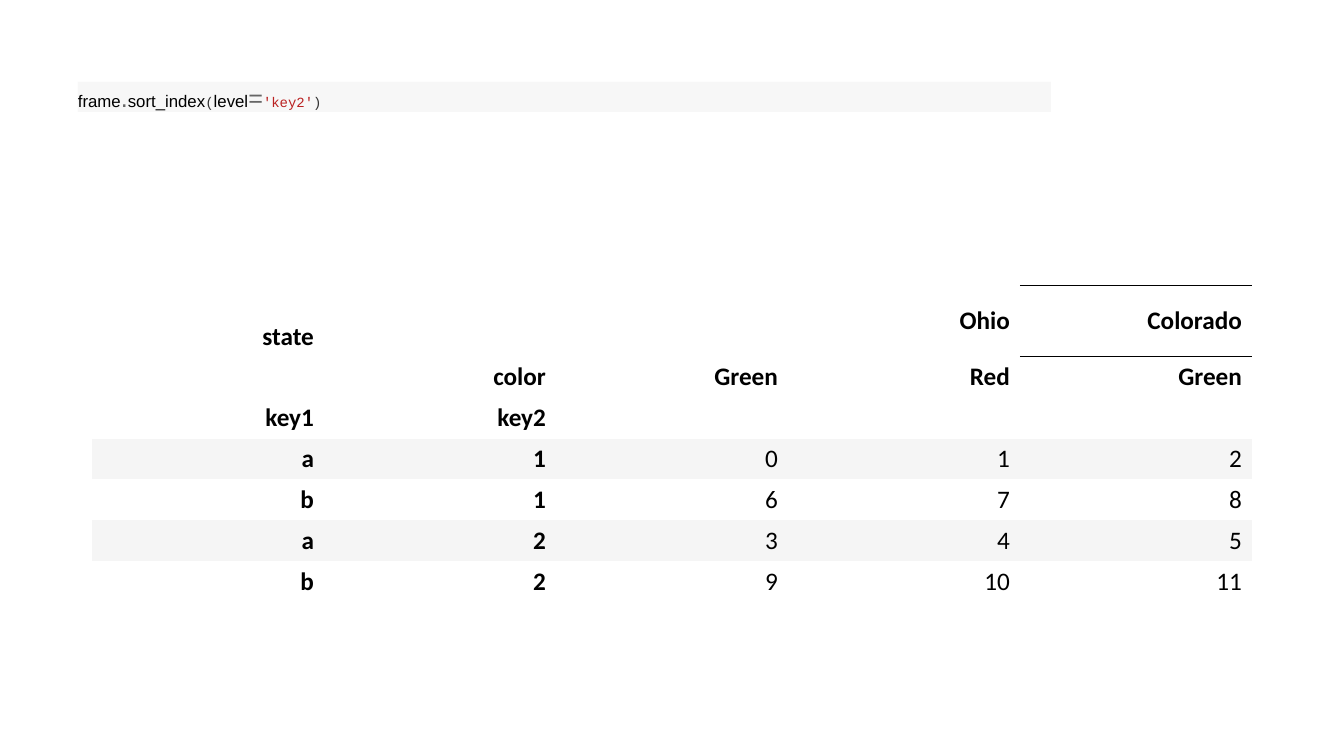
from lxml.etree import SubElement
from pptx import Presentation
from pptx.dml.color import RGBColor
from pptx.enum.shapes import MSO_SHAPE
from pptx.enum.text import MSO_ANCHOR, PP_ALIGN
from pptx.oxml.ns import qn
from pptx.util import Pt

PX = 914400 / 100.8
COLORS = {
    "black": "000000", "code_back": "F7F7F7", "operator": "666666",
    "bracket": "333333", "string": "BA2121", "stripe": "F5F5F5",
}
NO_STYLE = "{2D5ABB26-0587-4C30-8999-92F81FD0307C}"

# Token kinds: font, size, colour
TOKENS = {
    "name": ("Arial", 12, "black"),
    "operator": ("Arial", 18, "operator"),
    "bracket": ("Courier New", 10, "bracket"),
    "string": ("Courier New", 10, "string"),
}
CODE = [
    ("frame", "name"), (".", "operator"), ("sort_index", "name"),
    ("(", "bracket"), ("level", "name"), ("=", "operator"),
    ("'key2'", "string"), (")", "bracket"),
]
ROWS = [
    ["state", "", "", "Ohio", "Colorado"],
    ["", "color", "Green", "Red", "Green"],
    ["key1", "key2", "", "", ""],
    ["a", "1", "0", "1", "2"],
    ["b", "1", "6", "7", "8"],
    ["a", "2", "3", "4", "5"],
    ["b", "2", "9", "10", "11"],
]
HEADER_ROWS, KEY_COLUMNS = 3, 2
FIRST_ROW, ROW, LINE = 71, 40, 31


def px(length):
    return round(length * PX)


def color(name):
    return RGBColor.from_string(COLORS[name])


def add_span(para, text, font, size, shade, bold=False):
    span = para.add_run()
    span.text = text
    span.font.name, span.font.size, span.font.bold = font, Pt(size), bold
    span.font.color.rgb = color(shade)


def add_code(page, left, top, width, height):
    box = page.shapes.add_shape(MSO_SHAPE.RECTANGLE, *map(px, (left, top, width, height)))
    box.shadow.inherit = False
    box.fill.solid()
    box.fill.fore_color.rgb = color("code_back")
    box.line.fill.background()
    frame = box.text_frame
    frame.word_wrap = True
    frame.vertical_anchor = MSO_ANCHOR.MIDDLE
    frame.margin_left = frame.margin_right = frame.margin_top = frame.margin_bottom = 0
    para = frame.paragraphs[0]
    para.alignment = PP_ALIGN.LEFT
    for text, kind in CODE:
        add_span(para, text, *TOKENS[kind])


def add_rules(cell):
    """Draw a line above and below the cell."""
    props = cell._tc.get_or_add_tcPr()
    for place, side in enumerate(("a:lnT", "a:lnB")):
        line = SubElement(props, qn(side), w=str(Pt(0.75)))
        fill = SubElement(line, qn("a:solidFill"))
        SubElement(fill, qn("a:srgbClr"), val=COLORS["black"])
        props.insert(place, line)


def add_frame_table(page, left, top, width):
    height = FIRST_ROW + ROW * (len(ROWS) - 1)
    holder = page.shapes.add_table(len(ROWS), len(ROWS[0]), *map(px, (left, top, width, height)))
    table = holder.table
    table.first_row = table.horz_banding = False
    table._tbl.tblPr.find(qn("a:tableStyleId")).text = NO_STYLE

    for r, values in enumerate(ROWS):
        table.rows[r].height = px(ROW if r else FIRST_ROW)
        striped = r >= HEADER_ROWS and (r - HEADER_ROWS) % 2 == 0
        for c, value in enumerate(values):
            cell = table.cell(r, c)
            cell.vertical_anchor = MSO_ANCHOR.MIDDLE
            if striped:
                cell.fill.solid()
                cell.fill.fore_color.rgb = color("stripe")
            else:
                cell.fill.background()
            para = cell.text_frame.paragraphs[0]
            para.alignment = PP_ALIGN.RIGHT
            para.font.size = Pt(18)
            if value:
                bold = r < HEADER_ROWS or c < KEY_COLUMNS
                add_span(para, value, "Calibri", 18, "black", bold)

    # Top row: the state label sits one line lower, Colorado is ruled
    table.cell(0, 0).margin_top = px(5 + LINE)
    table.cell(0, 1).merge(table.cell(0, 2))
    add_rules(table.cell(0, 4))


def main():
    deck = Presentation()
    deck.slide_width, deck.slide_height = px(1344), px(756)
    page = deck.slides.add_slide(deck.slide_layouts[6])
    add_code(page, 78, 82, 973, 30)
    add_frame_table(page, 92, 285, 1160)
    deck.save("out.pptx")


if __name__ == "__main__":
    main()
